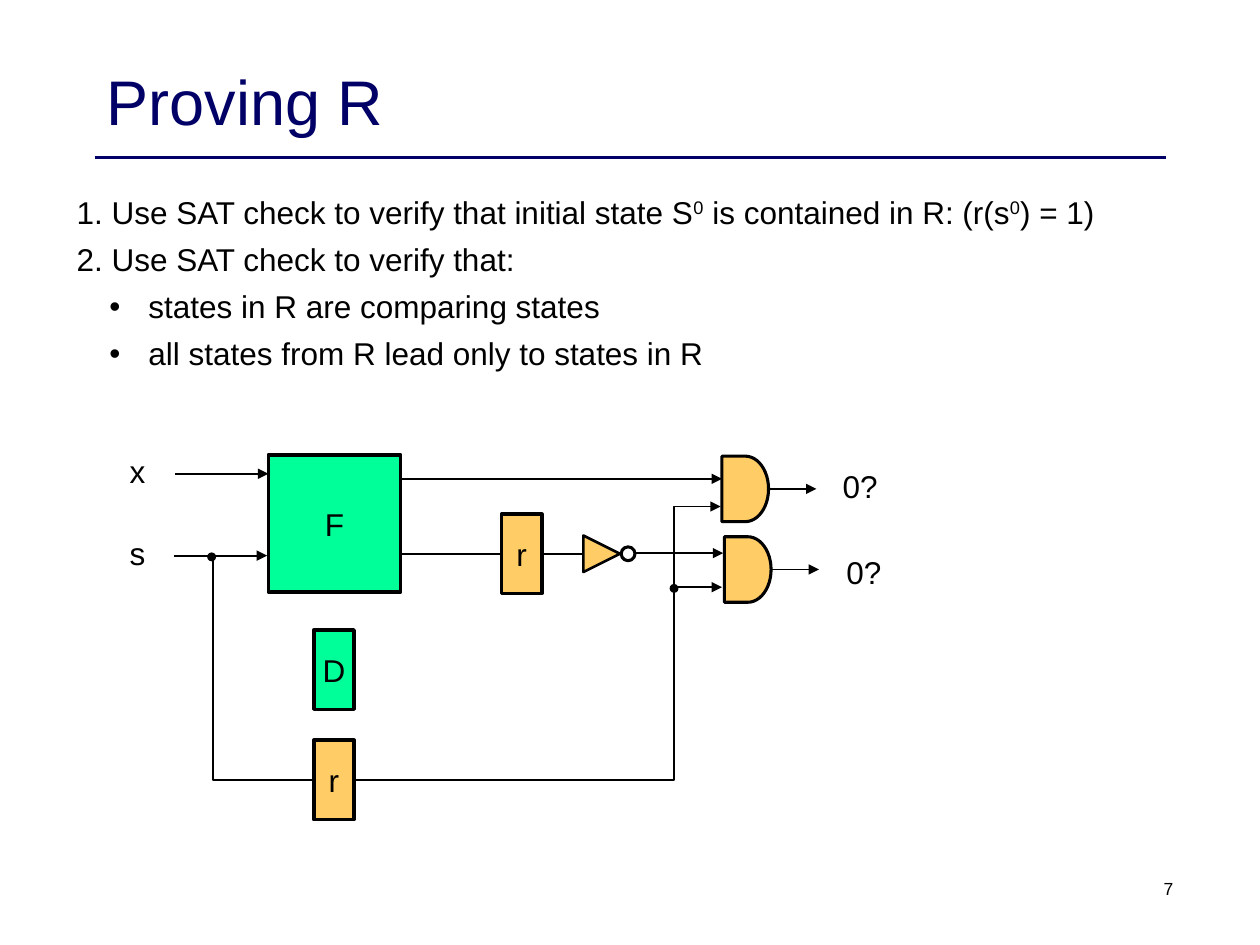
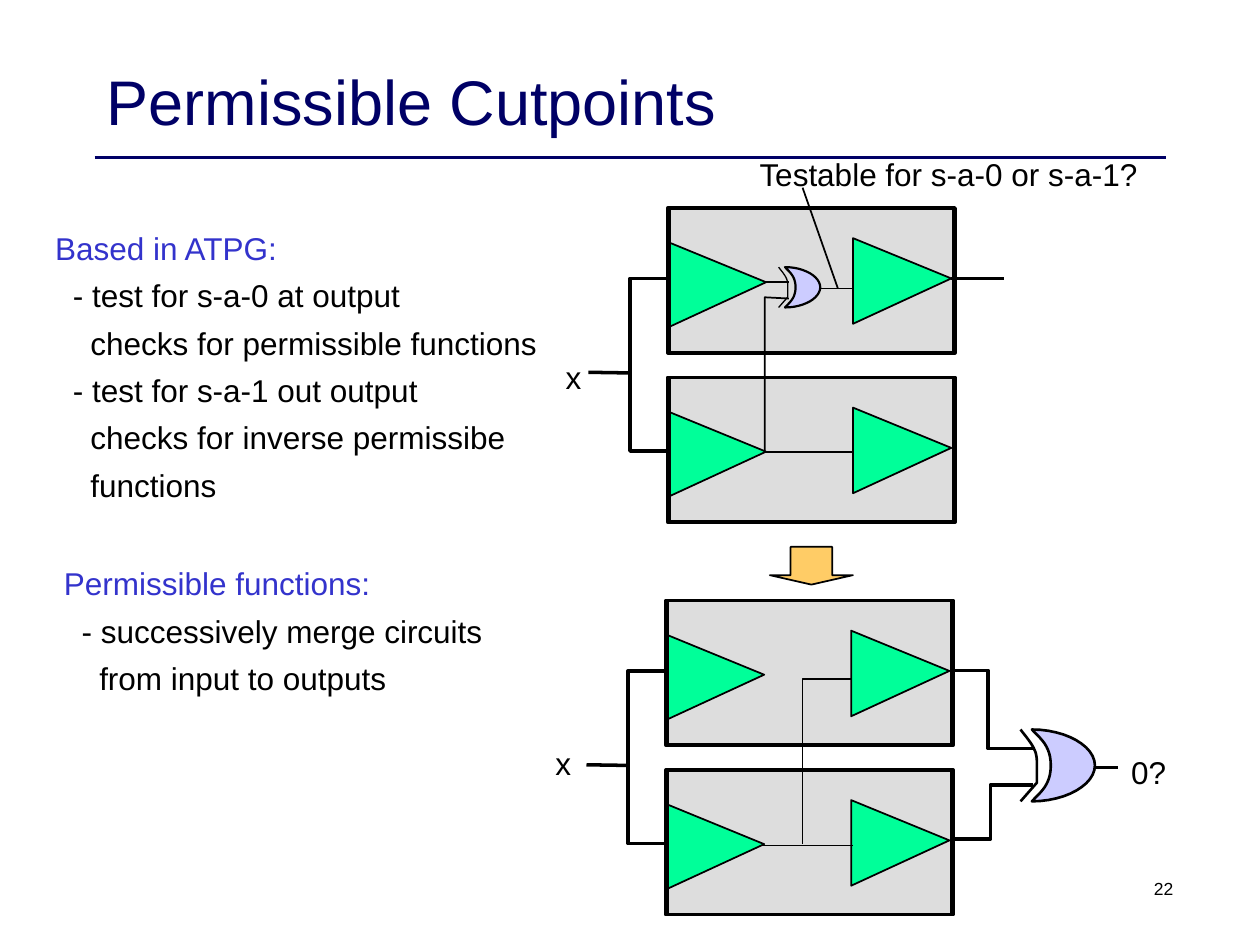
from lxml import etree
from pptx import Presentation, util as u
from pptx.dml.color import RGBColor
from pptx.enum import shapes, text
from pptx.oxml.ns import qn

COLS, ROWS = 100, 75
COLORS = {"navy": "000066", "ink": "000000", "heading": "3333CC", "green": "00FF99",
          "amber": "FFCC66", "grey": "DDDDDD", "lilac": "CCCCFF", "white": "FFFFFF"}
KIND = shapes.MSO_SHAPE
ALIGN = text.PP_ALIGN


def rgb(name):
    return RGBColor.from_string(COLORS[name])


def bezier(start, c1, c2, end, steps=12):
    """Points on a cubic curve, without its start."""
    for i in range(1, steps + 1):
        t = i / steps
        weights = ((1 - t) ** 3, 3 * t * (1 - t) ** 2, 3 * t * t * (1 - t), t ** 3)
        yield tuple(sum(w * p[axis] for w, p in zip(weights, (start, c1, c2, end)))
                    for axis in (0, 1))


def curve(*knots):
    """Outline through a chain of cubic curves: start, then triples of points."""
    points = [knots[0]]
    for i in range(1, len(knots), 3):
        points += bezier(points[-1], *knots[i:i + 3])
    return points


GATE_BODY = curve((0, 0), (.14, .13), (.3, .23), (.3, .5), (.3, .77), (.14, .87), (0, 1),
                  (.54, 1), (1, .77), (1, .5), (1, .23), (.54, 0), (0, 0))
GATE_BACK = curve((-.18, 0), (-.14, .05), (0, .19), (.04, .28),
                  (.08, .35), (.08, .42), (.08, .51)) + [(.08, .74), (-.18, 1)]


class Sketch:
    font, body_size, space_before = "Arial", 18, 5.4

    def __init__(self):
        self.deck = Presentation()
        self.deck.slide_width, self.deck.slide_height = u.Inches(10), u.Inches(7.5)
        self.slide = None

    def x(self, col):
        return u.Emu(round(self.deck.slide_width * col / COLS))

    def y(self, row):
        return u.Emu(round(self.deck.slide_height * row / ROWS))

    def frame(self, col, row, cols, rows):
        return self.x(col), self.y(row), self.x(cols), self.y(rows)

    def page(self, title, number):
        self.slide = self.deck.slides.add_slide(self.deck.slide_layouts[6])
        self.wire([(7.5, 12.5), (92.5, 12.5)], 2.25, color="navy")
        self.words((7.5, 1.7, 85, 12.5), [title], size=36, color="navy", space=0,
                   anchor=text.MSO_ANCHOR.MIDDLE)
        self.words((73.3, 69.2, 20.8, 5), [str(number)], size=10, space=0, align=ALIGN.RIGHT)

    def paragraph(self, para, runs, size, color, space, align):
        """Fill a paragraph; runs is a string or (string, is_superscript) pairs."""
        para.alignment = align
        para.space_before = u.Pt(space)
        for wording, raised in [(runs, False)] if isinstance(runs, str) else runs:
            run = para.add_run()
            run.text = wording
            run.font.name, run.font.size = self.font, u.Pt(size)
            run.font.color.rgb = rgb(color)
            if raised:
                run.font._element.set("baseline", "30000")

    def words(self, frame, lines, size=body_size, color="ink", space=space_before,
              align=ALIGN.LEFT, anchor=text.MSO_ANCHOR.TOP):
        body = self.slide.shapes.add_textbox(*self.frame(*frame)).text_frame
        body.word_wrap, body.vertical_anchor = True, anchor
        for i, runs in enumerate(lines):
            para = body.paragraphs[0] if i == 0 else body.add_paragraph()
            self.paragraph(para, runs, size, color, space, align)
        return body.paragraphs

    def label(self, col, row, wording):
        self.words((col, row, 6, 4), [wording])

    def indent(self, para, cols, bullet=None, hang=3.1):
        props = para._p.get_or_add_pPr()
        props.set("marL", str(self.x(cols)))
        if bullet:
            props.set("indent", str(-self.x(hang)))
            etree.SubElement(props, qn("a:buFont")).set("typeface", self.font)
            etree.SubElement(props, qn("a:buChar")).set("char", bullet)

    def paint(self, shape, fill, weight, color="ink"):
        shape.shadow.inherit = False
        if fill:
            shape.fill.solid()
            shape.fill.fore_color.rgb = rgb(fill)
        else:
            shape.fill.background()
        shape.line.color.rgb, shape.line.width = rgb(color), u.Pt(weight)
        return shape

    def block(self, kind, frame, fill, weight, wording=None):
        shape = self.slide.shapes.add_shape(kind, *self.frame(*frame))
        self.paint(shape, fill, weight)
        if wording:
            body = shape.text_frame
            body.margin_left = body.margin_right = 0
            body.vertical_anchor = text.MSO_ANCHOR.MIDDLE
            self.paragraph(body.paragraphs[0], wording, self.body_size, "ink",
                           self.space_before, ALIGN.CENTER)
        return shape

    def outline(self, points, weight, fill=None):
        spots = [(self.x(col), self.y(row)) for col, row in points]
        builder = self.slide.shapes.build_freeform(*spots[0])
        builder.add_line_segments(spots[1:], close=points[0] == points[-1])
        return self.paint(builder.convert_to_shape(), fill, weight)

    def wire(self, points, weight=1, arrow=False, begin=None, end=None, color="ink"):
        """A straight connector, or a bent line when there are more than two points.
        begin and end are (shape, side) pairs."""
        if len(points) > 2:
            line = self.outline(points, weight)
        else:
            (c1, r1), (c2, r2) = points
            line = self.slide.shapes.add_connector(
                shapes.MSO_CONNECTOR.STRAIGHT, self.x(c1), self.y(r1), self.x(c2), self.y(r2))
            line.line.color.rgb, line.line.width = rgb(color), u.Pt(weight)
            etree.SubElement(line._element.spPr, qn("a:effectLst"))
            if begin:
                line.begin_connect(*begin)
            if end:
                line.end_connect(*end)
        if arrow:
            stroke = line._element.spPr.find(qn("a:ln"))
            etree.SubElement(stroke, qn("a:tailEnd")).set("type", "triangle")

    def buffer(self, col, row):
        tip = (col + 7.8, row + 3.2)
        self.outline([(col, row), tip, (col, row + 6.8), (col, row)], 1, "green")

    def xor_gate(self, col, row, cols, rows, body_weight, back_weight):
        for points, weight, fill in ((GATE_BODY, body_weight, "lilac"),
                                     (GATE_BACK, back_weight, None)):
            self.outline([(col + cols * h, row + rows * v) for h, v in points], weight, fill)

    def circuit_pair(self, col, row, input_col, input_row):
        """Two stacked circuits that share the input x."""
        fork = col - 3
        self.wire([(col, row + 5.6), (fork, row + 5.6), (fork, row + 19.3),
                   (col, row + 19.3)], 2)
        self.wire([(fork, row + 13.1), (fork - 3.3, row + 13.05)], 2)
        self.label(input_col, input_row, "x")
        for top in (row, row + 13.45):
            self.block(KIND.RECTANGLE, (col, top, 22.7, 11.5), "grey", 2)
            self.buffer(col, top + 2.7)
            self.block(KIND.RECTANGLE, (col + .1, top, 22.7, 11.5), None, 2)
            self.buffer(col + 14.7, top + 2.4)


def proving_r(sk):
    sk.page("Proving R", 7)
    steps = sk.words((5.1, 14.8, 87, 14.9), [
        [("1. Use SAT check to verify that initial state S", False), ("0", True),
         (" is contained in R: (r(s", False), ("0", True), (") = 1)", False)],
        "2. Use SAT check to verify that:",
        "states in R are comparing states",
        "all states from R lead only to states in R"])
    for step in steps[2:]:
        sk.indent(step, 5.7, "•")

    sk.block(KIND.RECTANGLE, (21.3, 36.1, 10.5, 10.9), "green", 2, "F")
    sk.block(KIND.RECTANGLE, (24.9, 50, 3.2, 6.3), "green", 2, "D")
    sk.block(KIND.RECTANGLE, (24.9, 58.75, 3.2, 6.3), "amber", 2, "r")
    next_r = sk.block(KIND.RECTANGLE, (39.8, 40.8, 3.2, 6.3), "amber", 2, "r")
    sk.block(KIND.ISOSCELES_TRIANGLE, (46.3, 42.5, 2.9, 2.9), "amber", 1.5).rotation = 90
    sk.block(KIND.OVAL, (49.3, 43.4, 1.1, 1.1), "white", 1.75)

    for col, row, answer_col, answer_row in ((57.3, 36.2, 65.9, 36.6), (57.5, 42.6, 66.2, 43.4)):
        gate = sk.block(KIND.FLOWCHART_DELAY, (col, row, 3.7, 5.2), "amber", 1.75)
        middle = row + 2.6
        sk.wire([(col + 3.7, middle), (col + 7.5, middle)], arrow=True, begin=(gate, 3))
        sk.label(answer_col, answer_row, "0?")

    sk.wire([(31.8, 43.95), (39.8, 43.95)], end=(next_r, 1))
    sk.wire([(43, 43.95), (46.2, 43.95)], begin=(next_r, 3))
    for start, stop, row in ((31.8, 57.3, 38), (50.5, 57.4, 43.9), (53.5, 57.3, 46.6),
                             (13.9, 21.3, 37.6), (13.8, 21.2, 44.1)):
        sk.wire([(start, row), (stop, row)], arrow=True)
    sk.wire([(16.9, 44.1), (16.9, 61.9), (24.9, 61.9)])
    sk.wire([(28.1, 61.9), (53.5, 61.9), (53.5, 40.2), (57.2, 40.2)], arrow=True)
    for col, row in ((16.5, 43.9), (53.2, 46.4)):
        sk.block(KIND.OVAL, (col, row, .6, .6), "ink", .75)
    sk.label(9.3, 35.4, "x")
    sk.label(9.3, 41.9, "s")


def permissible_cutpoints(sk):
    sk.page("Permissible Cutpoints", 22)
    sk.words((59.3, 11.8, 35, 4), ["Testable for s-a-0 or s-a-1?"])

    sk.circuit_pair(53, 16.5, 43.9, 27.9)
    sk.wire([(60.6, 35.9), (67.8, 35.9)])
    sk.xor_gate(62.3, 21.2, 2.8, 3.2, 1.25, .75)
    sk.wire([(60.6, 22.4), (62.6, 22.4)])
    sk.wire([(65.1, 22.9), (67.7, 22.9)])
    sk.wire([(60.7, 35.9), (60.7, 23.6), (62.6, 23.7)])
    sk.wire([(75.5, 22.1), (79.7, 22.1)], 1.5)
    sk.wire([(66.5, 22.9), (63.7, 14.9)])

    sk.block(KIND.DOWN_ARROW, (61.1, 43.4, 6.6, 3), "amber", 1).adjustments[1] = .25

    sk.xor_gate(81.9, 57.9, 5, 5.7, 1.5, 1.5)
    sk.wire([(87, 60.9), (88.7, 60.9)], 2)
    sk.label(88.8, 59.3, "0?")
    sk.circuit_pair(52.85, 47.65, 43.1, 58.6)
    for start, bend, stop in ((66.6, 78.6, 62.3), (53.2, 78.4, 59.4)):
        sk.wire([(75.5, start), (bend, start), (bend, stop), (82, stop)], 2)
    sk.wire([(60.5, 67.1), (67.7, 67.1)])
    sk.wire([(63.7, 67), (63.7, 53.9), (67.5, 53.9)])

    notes = (
        (4.1, 44.3, "Permissible functions:",
         ["- successively merge circuits", "from input to outputs"]),
        (3.4, 17.7, "Based in ATPG:",
         ["- test for s-a-0 at output", "checks for permissible functions",
          "- test for s-a-1 out output", "checks for inverse permissibe", "functions"]))
    for col, row, heading, lines in notes:
        paras = sk.words((col, row, 42, 3.6 * (len(lines) + 1)), [heading, *lines])
        paras[0].runs[0].font.color.rgb = rgb("heading")
        for para, line in zip(paras[1:], lines):
            sk.indent(para, 1.4 if line.startswith("-") else 2.8)


def main():
    sketch = Sketch()
    proving_r(sketch)
    permissible_cutpoints(sketch)
    sketch.deck.save("out.pptx")


if __name__ == "__main__":
    main()
